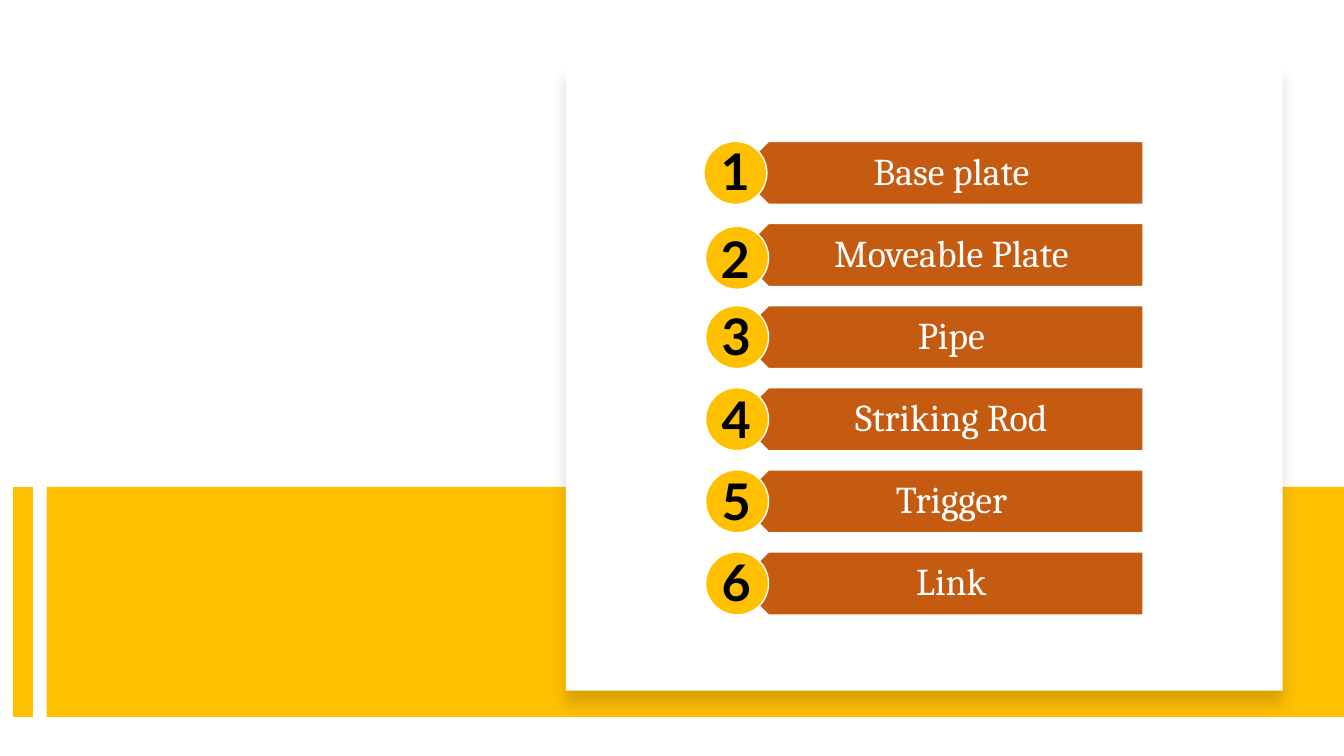
"""Build a slide listing six numbered machine parts on a white card."""
from lxml.etree import SubElement
from pptx import Presentation
from pptx.dml.color import RGBColor
from pptx.enum.shapes import MSO_CONNECTOR, MSO_SHAPE
from pptx.enum.text import MSO_ANCHOR, PP_ALIGN
from pptx.oxml import parse_xml
from pptx.oxml.ns import nsdecls, qn
from pptx.util import Pt

AMBER = RGBColor(0xFF, 0xC0, 0x00)
RUST = RGBColor(0xC5, 0x5A, 0x11)
WHITE = RGBColor(0xFF, 0xFF, 0xFF)
BLACK = RGBColor(0x00, 0x00, 0x00)

FIRST_TOP = 101
ROW_PITCH = 58.65
BAR_HEIGHT = 45
PARTS = [
    ("Base plate", 502.8, 0, 507.6, -4.3),
    ("Moveable Plate", 504, 2, 507.6, -0.5),
    ("Pipe", 504, 0, 508.3, -3.7),
    ("Striking Rod", 504, 0, 508.3, -3.3),
    ("Trigger", 504, 0, 508.3, -3.7),
    ("Link", 504, 0, 508.3, -4.5),
]


def add_block(kind, left, top, width, height, fill, outline=None):
    shape = slide.shapes.add_shape(kind, Pt(left), Pt(top), Pt(width), Pt(height))
    shape.shadow.inherit = False
    shape.fill.solid()
    shape.fill.fore_color.rgb = fill
    if outline is None:
        shape.line.fill.background()
    else:
        shape.line.color.rgb = outline
        shape.line.width = Pt(1)
    return shape


def add_text(text, left, top, width, height, font, size, color, bold=False, wrap=True,
             align=PP_ALIGN.LEFT, anchor=MSO_ANCHOR.TOP, spacing=1.0,
             insets=(7.2, 3.6, 7.2, 3.6)):
    box = slide.shapes.add_textbox(Pt(left), Pt(top), Pt(width), Pt(height))
    frame = box.text_frame
    frame.word_wrap = wrap
    frame.vertical_anchor = anchor
    frame.margin_left, frame.margin_top, frame.margin_right, frame.margin_bottom = map(Pt, insets)
    paragraph = frame.paragraphs[0]
    paragraph.alignment = align
    paragraph.line_spacing = spacing
    run = paragraph.add_run()
    run.text = text
    run.font.name = font
    run.font.size = Pt(size)
    run.font.bold = bold
    run.font.color.rgb = color


presentation = Presentation()
presentation.slide_width = Pt(960)
presentation.slide_height = Pt(540)
slide = presentation.slides.add_slide(presentation.slide_layouts[6])

add_block(MSO_SHAPE.RECTANGLE, 33.3, 347.8, 926.7, 164.2, AMBER)
stripe = slide.shapes.add_connector(
    MSO_CONNECTOR.STRAIGHT, Pt(16.5), Pt(347.8), Pt(16.5), Pt(512))
stripe.line.color.rgb = AMBER
stripe.line.width = Pt(14)
SubElement(stripe.line._get_or_add_ln().getparent(), qn("a:effectLst"))

card = add_block(MSO_SHAPE.RECTANGLE, 404.2, 46.2, 512, 447.2, WHITE)
card_effects = card.fill._xPr.find(qn("a:effectLst"))
card_effects.append(parse_xml(
    f'<a:outerShdw {nsdecls("a")} blurRad="{Pt(11)}" dist="{Pt(10)}" dir="5400000" '
    'algn="t" rotWithShape="0"><a:srgbClr val="000000"><a:alpha val="15000"/>'
    '</a:srgbClr></a:outerShdw>'))

for index, (label, circle_left, circle_drop, number_left, number_drop) in enumerate(PARTS):
    top = FIRST_TOP + index * ROW_PITCH
    bar = add_block(MSO_SHAPE.PENTAGON, 526.4, top, 290, BAR_HEIGHT, RUST, WHITE)
    bar.rotation = 180
    add_text(label, 537.7, top, 278.7, BAR_HEIGHT, "Cambria", 27, WHITE,
             align=PP_ALIGN.CENTER, anchor=MSO_ANCHOR.MIDDLE, spacing=0.9,
             insets=(20, 8, 15, 8))
    add_block(MSO_SHAPE.OVAL, circle_left, top + circle_drop, BAR_HEIGHT, BAR_HEIGHT,
              AMBER, WHITE)
    add_text(str(index + 1), number_left, top + number_drop, 36.7, 51, "Lato", 36, BLACK,
             bold=True, wrap=False)

presentation.save("out.pptx")
